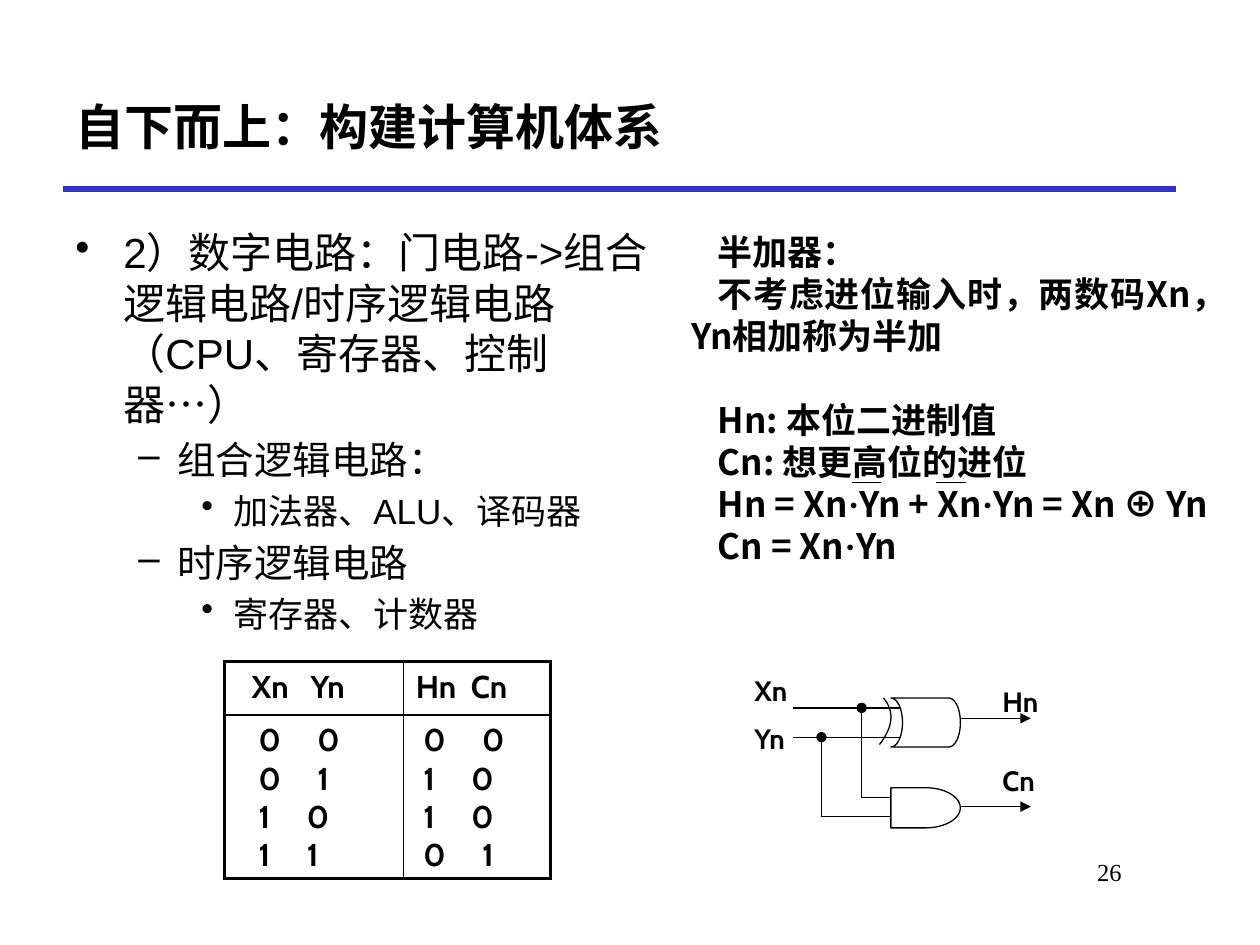
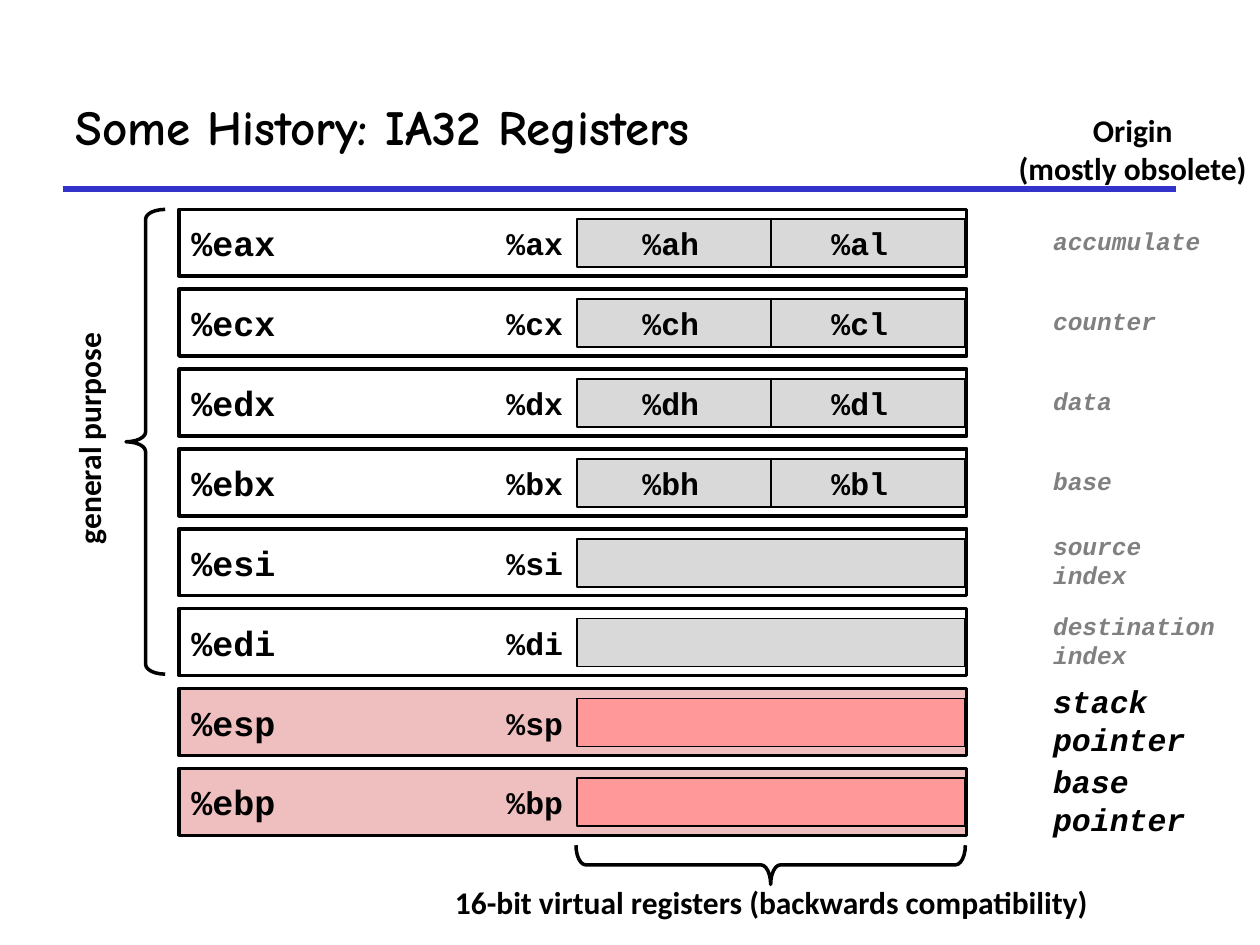
from lxml import etree
from pptx import Presentation
from pptx.dml import color
from pptx.enum import shapes, text
from pptx.oxml import ns
from pptx.util import Cm, Pt

INK, RULE, GREY = "000000", "3333CC", "808080"
CJK, MONO, CABIN, SANS = "Noto Sans CJK SC", "Courier New", "Cabin", "Calibri"
KIND, ALIGN, ANCHOR = shapes.MSO_SHAPE, text.PP_ALIGN, text.MSO_ANCHOR


def tint(code):
    return color.RGBColor.from_string(code)


def put(item, values):
    for key, value in values.items():
        setattr(item, key, value)


def sub(node, tag, **attrs):
    child = etree.SubElement(node, ns.qn(tag))
    for key, value in attrs.items():
        child.set(key, str(value))
    return child


class Deck:
    def __init__(self):
        self.file = Presentation()
        put(self.file, {"slide_width": Cm(25.4), "slide_height": Cm(19.05)})
        self.page = None

    def slide(self, title):
        self.page = self.file.slides.add_slide(self.file.slide_layouts[6])
        self.line(1.27, 3.81, 23.7, 3.81, 3, RULE)
        self.label([title], 1.27, 1.27, 22.43, 2.54, "Comic Neue", 28, mid=True)

    def run(self, para, words, face, size, hue=INK, bold=True, slant=False):
        part = para.add_run()
        part.text = words
        put(part.font, {"name": face, "size": Pt(size), "bold": bold, "italic": slant})
        part.font.color.rgb = tint(hue)
        sub(part.font._element, "a:ea", typeface=CJK)
        return part

    def para(self, frame, index, words, face, size, left=0, first=0,
             mark=None, form=None, **look):
        para = frame.paragraphs[0] if index == 0 else frame.add_paragraph()
        props = para._p.get_or_add_pPr()
        props.set("marL", str(Cm(left)))
        props.set("indent", str(Cm(first)))
        if mark:
            sub(props, "a:buChar", char=mark)
        put(para, form or {})
        for piece in words.replace("·", "|·|").split("|"):
            self.run(para, piece, "Times New Roman" if piece == "·" else face, size, **look)
        return para

    def pair(self, frame, index, left, right, inset, gap):
        para = self.para(frame, index, left, CABIN, 18, left=inset)
        space = self.run(para, " ", CABIN, 18)
        space.font._element.set("spc", str(round(gap * 100)))
        self.run(para, right, CABIN, 18)

    def label(self, lines, x, y, w, h, face, size, mid=False, wrap=True,
              turn=0, form=None, gap=0, **look):
        box = self.page.shapes.add_textbox(Cm(x), Cm(y), Cm(w), Cm(h))
        box.rotation = turn
        put(box.text_frame, {
            "word_wrap": wrap,
            "vertical_anchor": ANCHOR.MIDDLE if mid else ANCHOR.TOP,
        })
        for i, words in enumerate(lines):
            rule = dict(form or {}, space_before=Pt(gap if i else 0))
            self.para(box.text_frame, i, words, face, size, form=rule, **look)
        return box.text_frame

    def pen(self, item, width, hue=INK):
        item.line.width = Pt(width)
        item.line.color.rgb = tint(hue)

    def line(self, x, y, far, low, width=0.75, hue=INK, tail=None):
        link = self.page.shapes.add_connector(
            shapes.MSO_CONNECTOR.STRAIGHT, Cm(x), Cm(y), Cm(far), Cm(low))
        self.pen(link, width, hue)
        if tail:
            sub(link.line._get_or_add_ln(), "a:tailEnd", type=tail)
        sub(link._element.spPr, "a:effectLst")

    def shape(self, kind, x, y, w, h, width=0.75, fill=None, turn=0):
        item = self.page.shapes.add_shape(kind, Cm(x), Cm(y), Cm(w), Cm(h))
        item.shadow.inherit = False
        item.rotation = turn
        if fill:
            item.fill.solid()
            item.fill.fore_color.rgb = tint(fill)
        else:
            item.fill.background()
        self.pen(item, width)
        return item

    def curve(self, start, bend, end, steps=16):
        spots = []
        for i in range(steps + 1):
            t = i / steps
            spots.append([Cm((1 - t) ** 2 * a + 2 * t * (1 - t) * b + t * t * c)
                          for a, b, c in zip(start, bend, end)])
        outline = self.page.shapes.build_freeform(*spots[0])
        outline.add_line_segments(spots[1:], close=False)
        item = outline.convert_to_shape()
        item.shadow.inherit = False
        item.fill.background()
        self.pen(item, 0.75)

    def edge(self, cell, **sides):
        props = cell._tc.get_or_add_tcPr()
        for i, side in enumerate("LRTB"):
            ln = etree.Element(ns.qn("a:ln" + side), w=str(Pt(sides[side])))
            sub(sub(ln, "a:solidFill"), "a:srgbClr", val=INK)
            props.insert(i, ln)

    def table(self, x, y, cols, rows, cells):
        grid = self.page.shapes.add_table(
            len(rows), len(cols), Cm(x), Cm(y), Cm(sum(cols)), Cm(sum(rows))).table
        put(grid, {"first_row": False, "horz_banding": False})
        for col, size in zip(grid.columns, cols):
            col.width = Cm(size)
        for row, size in zip(grid.rows, rows):
            row.height = Cm(size)
        for r, band in enumerate(cells):
            for c, (pairs, inset, gap) in enumerate(band):
                cell = grid.cell(r, c)
                cell.fill.background()
                self.edge(cell, L=1 if c else 2.25, R=2.25 if c else 1,
                          T=1 if r else 2.25, B=2.25 if r else 1)
                for i, (left, right) in enumerate(pairs):
                    self.pair(cell.text_frame, i, left, right, inset, gap)


def adder(deck):
    deck.slide("自下而上：构建计算机体系")
    levels = [(24, 0.97, -0.97, "•"), (22, 2.06, -0.79, "–"), (20, 3.18, -0.64, "•")]
    points = [
        (0, "2）数字电路：门电路->组合逻辑电路/时序逻辑电路（CPU、寄存器、控制器…）"),
        (1, "组合逻辑电路："), (2, "加法器、ALU、译码器"),
        (1, "时序逻辑电路"), (2, "寄存器、计数器"),
    ]
    body = deck.label([], 1.27, 4.45, 12.27, 12.27, "Arial", 24)
    for i, (level, words) in enumerate(points):
        size, left, first, mark = levels[level]
        form = {"line_spacing": Pt(size * 1.2), "space_before": Pt(size * 0.2 if i else 0)}
        deck.para(body, i, words, "Arial", size, left, first, mark, form=form, bold=False)
    deck.label(["26"], 19.25, 17.15, 3.61, 1.27, "Times New Roman", 14,
               form={"alignment": ALIGN.RIGHT}, bold=False)

    notes = deck.label(
        ["半加器：", "不考虑进位输入时，两数码Xn，Yn相加称为半加", "Hn: 本位二进制值",
         "Cn: 想更高位的进位", "Hn = Xn·Yn + Xn·Yn = Xn ⊕ Yn", "Cn = Xn·Yn"],
        13.69, 4.52, 11.28, 7.09, CJK, 20, first=0.53,
        form={"alignment": ALIGN.JUSTIFY, "line_spacing": Pt(24)})
    notes.paragraphs[2].space_before = Pt(24)
    for x, far in [(17.17, 17.75), (18.87, 19.48)]:
        deck.line(x, 9.73, far, 9.73)

    deck.table(4.52, 13.34, [3.61, 2.97], [1.07, 3.3], [
        [([("Xn", "Yn")], 0.3, 8.4), ([("Hn", "Cn")], 0, 4.2)],
        [(["00", "01", "10", "11"], 0.44, 16.8),
         (["00", "10", "10", "01"], 0.15, 16.8)],
    ])

    deck.shape(KIND.FLOWCHART_STORED_DATA, 17.96, 14.07, 1.4, 0.99, turn=180)
    deck.curve((17.73, 15.01), (18.15, 14.47), (17.81, 14.07))
    deck.shape(KIND.FLOWCHART_DELAY, 17.96, 15.88, 1.4, 0.81)
    for top, low, x in [(14.27, 16.08, 17.37), (14.86, 16.46, 16.56)]:
        deck.line(15.98, top, 18.16, top)
        deck.line(x, low, 17.96, low)
        deck.line(x, low, x, top, tail="oval")
    deck.label(["Xn", "Yn"], 14.96, 13.46, 1.8, 1.96, CABIN, 16, gap=8)
    for name, y, out in [("Hn", 13.67, 14.48), ("Cn", 15.27, 16.26)]:
        deck.line(19.35, out, 20.78, out, tail="triangle")
        deck.label([name], 19.96, y, 1.8, 0.94, CABIN, 16)


def history(deck):
    deck.slide("Some History: IA32 Registers")
    mid = {"alignment": ALIGN.CENTER}
    origins = {"ax": "accumulate", "cx": "counter", "dx": "data", "bx": "base",
               "si": "source index", "di": "destination index",
               "sp": "stack pointer", "bp": "base pointer"}
    for i, (name, origin) in enumerate(origins.items()):
        y = 4.22 + 1.61 * i
        stack = name in ("sp", "bp")
        bar = deck.shape(KIND.RECTANGLE, 3.61, y, 15.88, 1.35, 2,
                         "EFBFBF" if stack else "FFFFFF")
        put(bar.text_frame, {"word_wrap": False, "vertical_anchor": ANCHOR.MIDDLE})
        deck.para(bar.text_frame, 0, "%e" + name, MONO, 20, form={"alignment": ALIGN.LEFT})
        deck.shape(KIND.RECTANGLE, 11.63, y + 0.2, 7.82, 0.97, 1,
                   "FF9999" if stack else "D9D9D9")
        names = [(name, 9.96)]
        if name.endswith("x"):
            deck.line(15.54, y + 0.2, 15.54, y + 1.17, 1)
            names += [(name[0] + "h", 12.7), (name[0] + "l", 16.51)]
        for part, x in names:
            deck.label(["%" + part], x, y + 0.18, 1.9, 1.02, MONO, 18)
        deck.label(origin.split(), 20.98, y - 0.04, 4, 1.35, MONO, 18 if stack else 14,
                   mid=True, hue=INK if stack else GREY, slant=True)

    for x, y, h, turn in [(15.14, 13.51, 7.85, 90), (2.54, 4.22, 9.37, 180)]:
        brace = deck.shape(KIND.RIGHT_BRACE, x, y, 0.79, h, 2, turn=turn)
        brace.adjustments[0] = 0.25
    for lines, x, y, w, h, turn in [
        (["16-bit virtual registers (backwards compatibility)"], 8.86, 17.68, 13.39, 1.02, 0),
        (["general purpose"], -0.61, 8.33, 4.8, 1.02, 270),
        (["Origin", "(mostly obsolete)"], 20.27, 2.11, 5.13, 1.8, 0),
    ]:
        deck.label(lines, x, y, w, h, SANS, 18, wrap=False, turn=turn, form=mid)


def main():
    deck = Deck()
    adder(deck)
    history(deck)
    deck.file.save("out.pptx")


if __name__ == "__main__":
    main()
